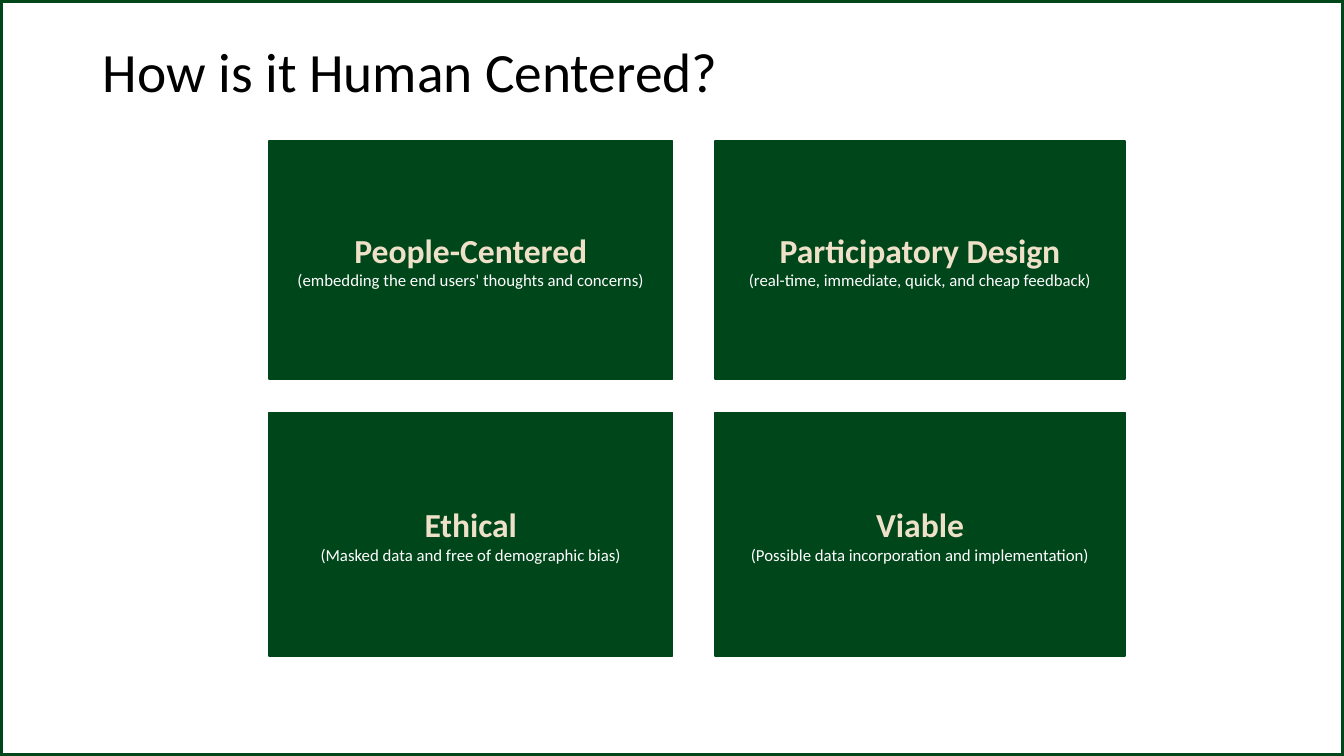
from pptx import Presentation
from pptx.dml.color import RGBColor
from pptx.enum import shapes, text
from pptx.util import Inches, Pt

COLORS = {"green": "00461B", "cream": "EEE1C8", "white": "FFFFFF", "black": "000000"}


def add_box(slide, left, top, width, height, line_width):
    box = slide.shapes.add_shape(
        shapes.MSO_SHAPE.RECTANGLE,
        Inches(left), Inches(top), Inches(width), Inches(height),
    )
    box.shadow.inherit = False
    box.line.color.rgb = RGBColor.from_string(COLORS["green"])
    box.line.width = Pt(line_width)
    return box


def style(paragraph, size, color, bold=False):
    paragraph.font.name = "Calibri"
    paragraph.font.size = Pt(size)
    paragraph.font.bold = bold
    paragraph.font.color.rgb = RGBColor.from_string(COLORS[color])


prs = Presentation()
prs.slide_width = Inches(13.33)
prs.slide_height = Inches(7.5)
slide = prs.slides.add_slide(prs.slide_layouts[5])

title = slide.shapes.title
title.left, title.top = Inches(0.92), Inches(0.4)
title.width, title.height = Inches(11.5), Inches(0.67)
title.text_frame.text = "How is it Human Centered?"
title.text_frame.vertical_anchor = text.MSO_ANCHOR.MIDDLE
title.text_frame.auto_size = text.MSO_AUTO_SIZE.NONE
heading = title.text_frame.paragraphs[0]
heading.alignment = text.PP_ALIGN.LEFT
heading.line_spacing = 0.9
style(heading, 39.6, "black")

columns = [(2.67, 4), (7.09, 4.07)]
rows = [(1.4, 2.36), (4.09, 2.42)]
principles = [
    [
        ("People-Centered", "(embedding the end users' thoughts and concerns)"),
        ("Participatory Design", "(real-time, immediate, quick, and cheap feedback)"),
    ],
    [
        ("Ethical", "(Masked data and free of demographic bias)"),
        ("Viable", "(Possible data incorporation and implementation)"),
    ],
]

for (top, height), row in zip(rows, principles):
    for (left, width), (principle, detail) in zip(columns, row):
        card = add_box(slide, left, top, width, height, 1)
        card.fill.solid()
        card.fill.fore_color.rgb = RGBColor.from_string(COLORS["green"])
        frame = card.text_frame
        frame.word_wrap = True
        frame.vertical_anchor = text.MSO_ANCHOR.MIDDLE
        frame.text = f"{principle}\n{detail}"
        name_line, detail_line = frame.paragraphs
        style(name_line, 24, "cream", bold=True)
        style(detail_line, 12, "white")
        for paragraph in frame.paragraphs:
            paragraph.alignment = text.PP_ALIGN.CENTER

border = add_box(slide, 0, 0, 13.33, 7.5, 4.75)
border.fill.background()

prs.save("out.pptx")
